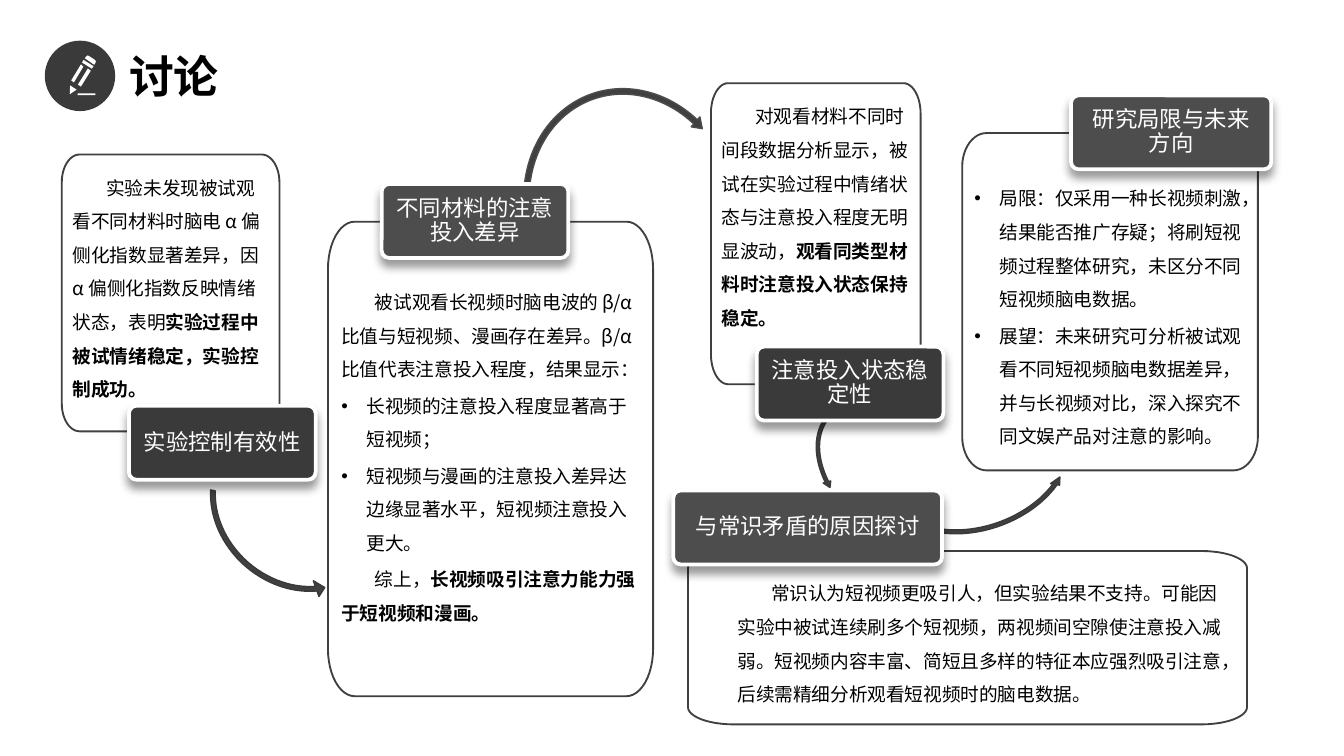
import math
import pptx
import pptx.util
import pptx.dml.color
import pptx.enum.shapes
import pptx.enum.text
import pptx.oxml
import pptx.oxml.ns

Pt = pptx.util.Pt
SHAPES = pptx.enum.shapes.MSO_SHAPE
ANCHOR = pptx.enum.text.MSO_ANCHOR
ALIGN = pptx.enum.text.PP_ALIGN
BODY_FONT, HEAD_FONT = "Noto Sans CJK SC", "Arial"
INK, DARK, MEDIUM, OUTLINE, WHITE = "000000", "3A3A3A", "4D4D4D", "404040", "FFFFFF"
LABEL_HEIGHT = 39.6

PENCIL = [
    [(9.5, .8), (10.2, .2), (11, .5), (14.2, 2.6), (14.7, 3.3), (14.5, 4.2), (13.8, 5.2), (8.8, 1.7)],
    [(8.1, 2.6), (7.3, 4), (12.5, 7.3), (13.5, 6)],
    [(.7, 20.7), (.9, 16.3), (4.4, 18.5), (.9, 20.9)],
    [(1.5, 13.6), (6.7, 5), (8, 6.2), (2.9, 14.7)],
    [(5.1, 15.8), (10.4, 7.2), (12, 8.4), (6.7, 16.9)],
    [(4.9, 20.5), (14.4, 20.5), (14.4, 21.5), (4.9, 21.5)],
]


def color(hex_text):
    """Turn a hex string into a colour."""
    return pptx.dml.color.RGBColor.from_string(hex_text)


def paint(shape, fill, line, width=1):
    """Set fill and line, either of which may be None, and drop the shadow."""
    shape.shadow.inherit = False
    for target, value in ((shape.fill, fill), (shape.line.fill, line)):
        if value:
            target.solid()
            target.fore_color.rgb = color(value)
        else:
            target.background()
    if line:
        shape.line.width = Pt(width)


def set_frame(frame, insets, anchor=ANCHOR.TOP):
    """Fix wrapping, insets and anchor of a text frame."""
    frame.auto_size = pptx.enum.text.MSO_AUTO_SIZE.NONE
    frame.word_wrap = True
    frame.vertical_anchor = anchor
    frame.margin_left, frame.margin_top, frame.margin_right, frame.margin_bottom = map(Pt, insets)


def set_font(para, name, size, hex_text):
    """Format a whole paragraph."""
    para.font.name, para.font.size = name, Pt(size)
    para.font.color.rgb = color(hex_text)


def write_body(frame, paragraphs):
    """Write (kind, plain text, bold text) entries as indented or bulleted paragraphs."""
    for index, (kind, plain, bold) in enumerate(paragraphs):
        para = frame.paragraphs[0] if index == 0 else frame.add_paragraph()
        para.alignment = ALIGN.LEFT
        para.line_spacing, para.space_before, para.space_after = Pt(18), Pt(0), Pt(1.5)
        properties = para._p.get_or_add_pPr()
        margin, indent = (13.5, -13.5) if kind == "bullet" else (0, 18)
        properties.set("marL", str(Pt(margin)))
        properties.set("indent", str(Pt(indent)))
        tag = '<a:buChar %s char="•"/>' if kind == "bullet" else "<a:buNone %s/>"
        properties.append(pptx.oxml.parse_xml(tag % pptx.oxml.ns.nsdecls("a")))
        set_font(para, BODY_FONT, 10, INK)
        for text, is_bold in ((plain, False), (bold, True)):
            if text:
                span = para.add_run()
                span.text = text
                span.font.bold = is_bold


def add_panel(page, box):
    """Draw an outlined panel whose corner radii follow its width and height."""
    left, top, width, height = box
    radius_x, radius_y = 0.082 * width, 0.1 * height
    points = []
    for quarter, (side_x, side_y) in enumerate([(1, 1), (0, 1), (0, 0), (1, 0)]):
        center_x = left + (width - radius_x if side_x else radius_x)
        center_y = top + (height - radius_y if side_y else radius_y)
        for step in range(13):
            angle = math.radians(90 * quarter + 7.5 * step)
            points.append((Pt(center_x + radius_x * math.cos(angle)),
                           Pt(center_y + radius_y * math.sin(angle))))
    builder = page.shapes.build_freeform(*points[0])
    builder.add_line_segments(points[1:], close=True)
    panel = builder.convert_to_shape()
    paint(panel, None, OUTLINE)
    return panel


def add_label(page, box, text, fill):
    """Draw a raised heading block."""
    label = page.shapes.add_shape(SHAPES.ROUNDED_RECTANGLE, *map(Pt, box))
    label.adjustments[0] = 0.1
    paint(label, fill, WHITE, 2)
    effects = label._element.spPr.find(pptx.oxml.ns.qn("a:effectLst"))
    effects.append(pptx.oxml.parse_xml(
        '<a:outerShdw %s blurRad="%d" dist="%d" dir="5400000" rotWithShape="0">'
        '<a:srgbClr val="000000"><a:alpha val="40000"/></a:srgbClr></a:outerShdw>'
        % (pptx.oxml.ns.nsdecls("a"), Pt(5), Pt(4))))
    set_frame(label.text_frame, (6, 3.6, 6, 3.6), ANCHOR.MIDDLE)
    para = label.text_frame.paragraphs[0]
    para.text = text
    para.alignment, para.line_spacing = ALIGN.CENTER, 0.9
    set_font(para, HEAD_FONT, 12, WHITE)


def add_card(page, box, heading, fill, label_box, paragraphs, text_box=None, holder=None):
    """Place a panel, its text and its heading relative to the panel's box."""
    left, top = box[:2]
    panel = add_panel(page, box)
    if text_box:
        x, y, width, height = text_box
        place = [Pt(value) for value in (left + x, top + y, width, height)]
        if holder is None:
            holder = page.shapes.add_textbox(*place)
        else:
            holder.left, holder.top, holder.width, holder.height = place
        set_frame(holder.text_frame, (7.2, 3.6, 7.2, 3.6))
        write_body(holder.text_frame, paragraphs)
    else:
        set_frame(panel.text_frame, (5.8, 5.8, 5.8, 25.9))
        write_body(panel.text_frame, paragraphs)
    x, y, width = label_box
    add_label(page, (left + x, top + y, width, LABEL_HEIGHT), heading, fill)


def add_arrow(page, box, kind, rotation, adjustments, line):
    """Draw a thin circular arrow."""
    arrow = page.shapes.add_shape(kind, *map(Pt, box))
    arrow.rotation = rotation
    for index, value in enumerate(adjustments):
        arrow.adjustments[index] = value
    paint(arrow, OUTLINE, line, 0.75)


def add_header(page, box):
    """Place the pencil badge and the title."""
    left, top, width, height = box
    badge = page.shapes.add_shape(SHAPES.OVAL, Pt(left), Pt(top), Pt(height), Pt(height))
    paint(badge, DARK, DARK)
    outlines = [[(Pt(left + 12.2 + x), Pt(top + 7.2 + y)) for x, y in part] for part in PENCIL]
    builder = page.shapes.build_freeform(*outlines[0][0])
    for index, outline in enumerate(outlines):
        if index:
            builder.move_to(*outline[0])
        builder.add_line_segments(outline[1:], close=True)
    paint(builder.convert_to_shape(), WHITE, None)
    title = page.shapes.title
    title.left, title.top = Pt(left + 37.4), Pt(top)
    title.width, title.height = Pt(width - 37.4), Pt(height)
    set_frame(title.text_frame, (7.2, 3.6, 7.2, 3.6), ANCHOR.MIDDLE)
    para = title.text_frame.paragraphs[0]
    para.text, para.alignment = "讨论", ALIGN.LEFT
    set_font(para, HEAD_FONT, 24, INK)
    para.font.bold = True


def main():
    """Build the discussion slide."""
    deck = pptx.Presentation()
    deck.slide_width, deck.slide_height = Pt(720), Pt(405)
    page = deck.slides.add_slide(deck.slide_layouts[3])
    left_turn, right_turn = SHAPES.LEFT_CIRCULAR_ARROW, SHAPES.CIRCULAR_ARROW
    for arrow in [
        ((470.9, 211, 105.8, 74.2), left_turn, 340, (.028, 3.47, 21.22, 94.37, .033), DARK),
        ((106.6, 226.8, 104.4, 90), left_turn, 41, (.028, 3.47, 21.22, 90.25, .05), DARK),
        ((279.4, 44.6, 118.1, 134.6), right_turn, 341, (.025, 3.07, 195.17, 125.76, .03), MEDIUM),
        ((443.5, 207.4, 63.4, 90.7), left_turn, 135, (.028, 3.47, 21.22, 90.25, .033), DARK),
    ]:
        add_arrow(page, *arrow)
    add_card(page, (33.1, 82.8, 116.6, 148.3), "实验控制有效性", DARK, (36, 134.6, 100), [
        ("text", "实验未发现被试观看不同材料时脑电 α 偏侧化指数显著差异，因 α 偏侧化指数反映情绪状态，表明",
         "实验过程中被试情绪稳定，实验控制成功。")])
    add_card(page, (380.9, 44.6, 112.3, 161.3), "注意投入状态稳定性", DARK, (24.5, 141.1, 100), [
        ("text", "对观看材料不同时间段数据分析显示，被试在实验过程中情绪状态与注意投入程度无明显波动，",
         "观看同类型材料时注意投入状态保持稳定。")])
    add_card(page, (175.7, 118.8, 174.2, 254.2), "不同材料的注意投入差异", MEDIUM, (28.8, -20.2, 100), [
        ("text", "被试观看长视频时脑电波的 β/α 比值与短视频、漫画存在差异。β/α 比值代表注意投入程度，结果显示：", ""),
        ("bullet", "长视频的注意投入程度显著高于短视频；", ""),
        ("bullet", "短视频与漫画的注意投入差异达边缘显著水平，短视频注意投入更大。", ""),
        ("text", "综上，", "长视频吸引注意力能力强于短视频和漫画。"),
    ], (0, 27.4, 174.2, 203), page.placeholders[1])
    add_card(page, (515.5, 71.3, 158.4, 180.7), "研究局限与未来方向", MEDIUM, (58.3, -20.2, 107.3), [
        ("bullet", "局限：仅采用一种长视频刺激，结果能否推广存疑；将刷短视频过程整体研究，未区分不同短视频脑电数据。", ""),
        ("bullet", "展望：未来研究可分析被试观看不同短视频脑电数据差异，并与长视频对比，深入探究不同文娱产品对注意的影响。", ""),
    ], (-0.7, 19.4, 159.1, 154.8), page.placeholders[2])
    add_card(page, (368.6, 295.2, 299.5, 92.9), "与常识矛盾的原因探讨", MEDIUM, (-7.9, -32.4, 144), [
        ("text", "常识认为短视频更吸引人，但实验结果不支持。可能因实验中被试连续刷多个短视频，两视频间空隙使注意投入减弱。"
         "短视频内容丰富、简短且多样的特征本应强烈吸引注意，后续需精细分析观看短视频时的脑电数据。", ""),
    ], (19.4, 7.2, 276.5, 79.9))
    add_header(page, (24.5, 22.3, 172.8, 36.7))
    deck.save("out.pptx")


if __name__ == "__main__":
    main()
